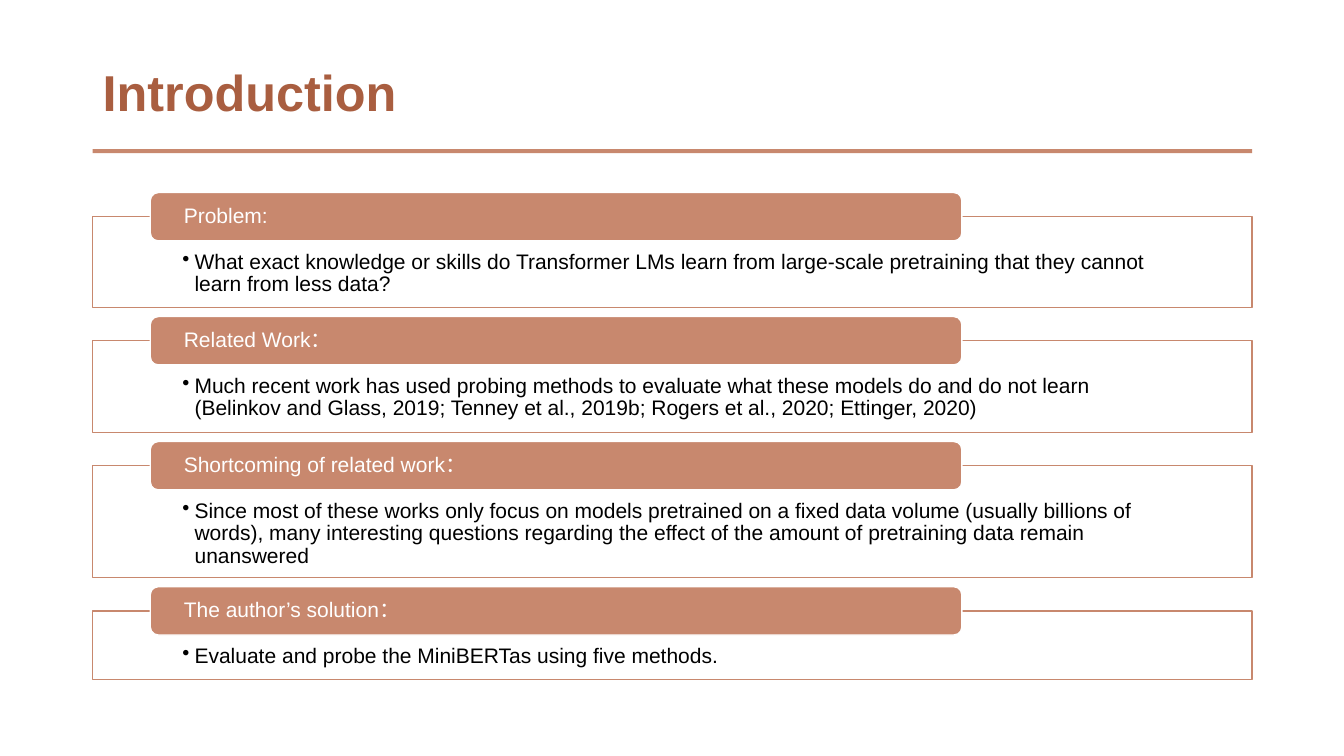
from lxml import etree
from pptx import Presentation
from pptx import util as u
from pptx.dml.color import RGBColor
from pptx.enum import shapes, text
from pptx.oxml.ns import qn

PX = 9144
COLORS = {
    "title": "A95E40",
    "accent": "C8886E",
    "white": "FFFFFF",
    "black": "000000",
}
SECTIONS = [
    ("Problem:", 90,
     "What exact knowledge or skills do Transformer LMs learn from large-scale "
     "pretraining that they cannot learn from less data?"),
    ("Related Work：", 91,
     "Much recent work has used probing methods to evaluate what these models do and do "
     "not learn (Belinkov and Glass, 2019; Tenney et al., 2019b; Rogers et al., 2020; "
     "Ettinger, 2020)"),
    ("Shortcoming of related work：", 111,
     "Since most of these works only focus on models pretrained on a fixed data volume "
     "(usually billions of words), many interesting questions regarding the effect of "
     "the amount of pretraining data remain unanswered"),
    ("The author’s solution：", 68, "Evaluate and probe the MiniBERTas using five methods."),
]
LEFT, WIDTH = 92, 1150
FIRST_TOP, GAP = 215, 33
TAB_RISE = 24


def add_panel(kind, left, top, width, height, fill, line=None):
    panel = page.shapes.add_shape(kind, left * PX, top * PX, width * PX, height * PX)
    panel.shadow.inherit = False
    panel.fill.solid()
    panel.fill.fore_color.rgb = RGBColor.from_string(COLORS[fill])
    if line:
        panel.line.color.rgb = RGBColor.from_string(COLORS[line])
        panel.line.width = u.Pt(1)
    else:
        panel.line.fill.background()
    return panel


def write(box, words, size, color, bold=False, insets=(10, 5, 10, 5),
          anchor=text.MSO_ANCHOR.MIDDLE, bullet=False):
    frame = box.text_frame
    frame.word_wrap = True
    frame.vertical_anchor = anchor
    frame.margin_left, frame.margin_top, frame.margin_right, frame.margin_bottom = (
        inset * PX for inset in insets)
    para = frame.paragraphs[0]
    para.alignment = text.PP_ALIGN.LEFT
    para.line_spacing = 0.9
    if bullet:
        para.level = 1
        props = para._p.get_or_add_pPr()
        props.set("marL", str(12 * PX))
        props.set("indent", str(-12 * PX))
        etree.SubElement(props, qn("a:buChar")).set("char", "•")
    span = para.add_run()
    span.text = words
    span.font.name = "Arial"
    span.font.size = u.Pt(size)
    span.font.bold = bold
    span.font.color.rgb = RGBColor.from_string(COLORS[color])


deck = Presentation()
deck.slide_width = 1333 * PX
deck.slide_height = 750 * PX
page = deck.slides.add_slide(deck.slide_layouts[6])

title = page.shapes.add_textbox(LEFT * PX, 40 * PX, WIDTH * PX, 108 * PX)
write(title, "Introduction", 36, "title", bold=True)

add_panel(shapes.MSO_SHAPE.RECTANGLE, LEFT, 148, WIDTH, 4, "accent")

top = FIRST_TOP
for heading, height, detail in SECTIONS:
    body = add_panel(shapes.MSO_SHAPE.RECTANGLE, LEFT, top, WIDTH, height, "white", "accent")
    write(body, detail, 15, "black", insets=(89, 34, 89, 12),
          anchor=text.MSO_ANCHOR.TOP, bullet=True)
    tab = add_panel(shapes.MSO_SHAPE.ROUNDED_RECTANGLE, 149, top - TAB_RISE, 805, 48,
                    "accent", "white")
    write(tab, heading, 15, "white", insets=(31, 0, 31, 0))
    top += height + GAP

deck.save("out.pptx")
